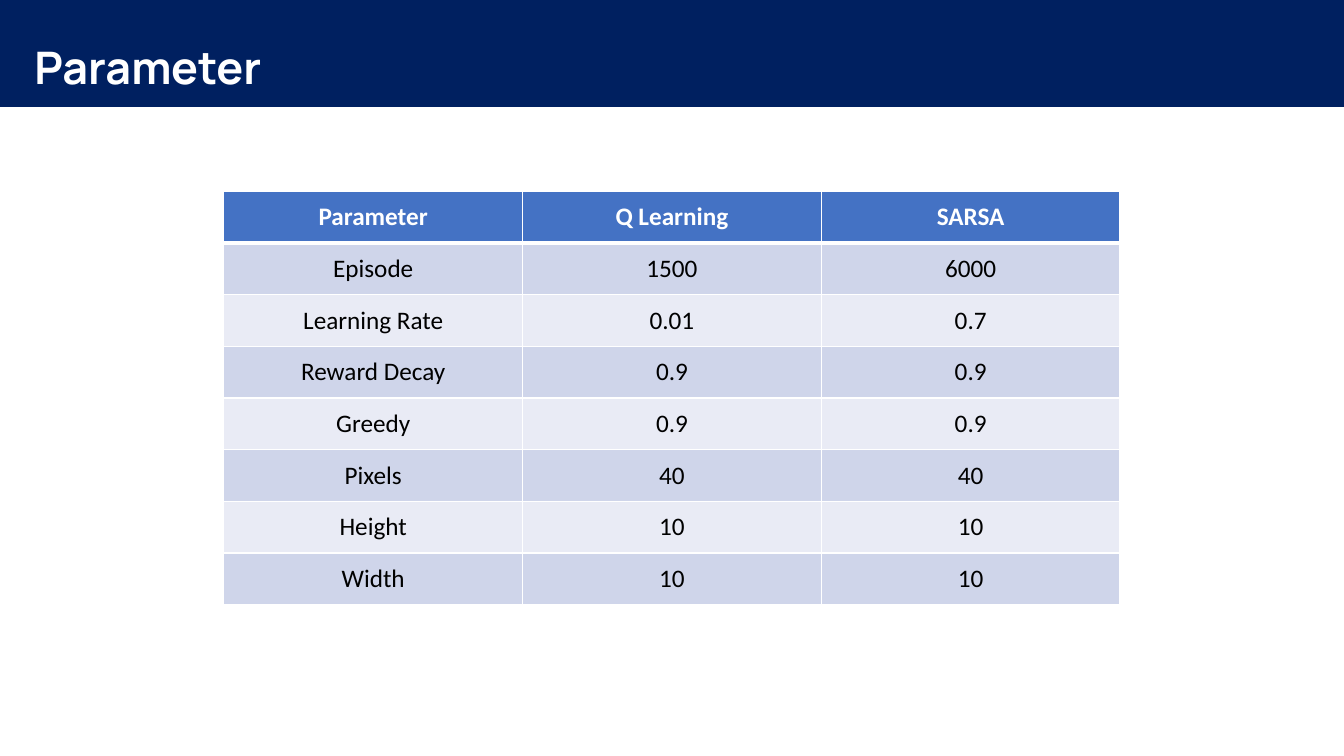
import pptx
import pptx.dml.color
import pptx.enum.shapes
import pptx.enum.text
import pptx.oxml
import pptx.oxml.ns
import pptx.util

Inches = pptx.util.Inches
Pt = pptx.util.Pt
RGBColor = pptx.dml.color.RGBColor
PP_ALIGN = pptx.enum.text.PP_ALIGN
MSO_ANCHOR = pptx.enum.text.MSO_ANCHOR

NAVY = RGBColor(0x00, 0x20, 0x60)
BLUE = RGBColor(0x44, 0x72, 0xC4)
BAND_DARK = RGBColor(0xCF, 0xD5, 0xEA)
BAND_LIGHT = RGBColor(0xE9, 0xEB, 0xF5)
WHITE = RGBColor(0xFF, 0xFF, 0xFF)
BLACK = RGBColor(0x00, 0x00, 0x00)

PARAMETERS = [
    ("Parameter", "Q Learning", "SARSA"),
    ("Episode", "1500", "6000"),
    ("Learning Rate", "0.01", "0.7"),
    ("Reward Decay", "0.9", "0.9"),
    ("Greedy", "0.9", "0.9"),
    ("Pixels", "40", "40"),
    ("Height", "10", "10"),
    ("Width", "10", "10"),
]


def format_font(font, color, **values):
    """Set the colour and the given attributes of a font."""
    font.color.rgb = color
    for attribute, value in values.items():
        setattr(font, attribute, value)


def add_borders(cell, widths):
    """Draw white cell borders; widths maps a side tag to points."""
    properties = cell._tc.get_or_add_tcPr()
    for side, width in widths.items():
        properties.append(pptx.oxml.parse_xml(
            f'<a:{side} {pptx.oxml.ns.nsdecls("a")} w="{Pt(width)}">'
            f'<a:solidFill><a:srgbClr val="{WHITE}"/></a:solidFill></a:{side}>'))


deck = pptx.Presentation()
deck.slide_width, deck.slide_height = Inches(13.33), Inches(7.5)
slide = deck.slides.add_slide(deck.slide_layouts[5])

# Header band, placed behind the title
header = slide.shapes.add_shape(
    pptx.enum.shapes.MSO_SHAPE.RECTANGLE, 0, 0, deck.slide_width, Inches(1.06))
header.shadow.inherit = False
header.fill.solid()
header.fill.fore_color.rgb = NAVY
header.line.fill.background()
slide.shapes._spTree.insert(2, header._element)

title = slide.shapes.title
title.left, title.top = Inches(0.24), Inches(0.08)
title.width, title.height = Inches(10.07), Inches(0.83)
title.text_frame.text = "Parameter"
title_format = {
    "word_wrap": True,
    "vertical_anchor": MSO_ANCHOR.TOP,
    "auto_size": pptx.enum.text.MSO_AUTO_SIZE.SHAPE_TO_FIT_TEXT,
}
for attribute, value in title_format.items():
    setattr(title.text_frame, attribute, value)
heading = title.text_frame.paragraphs[0]
heading.alignment = PP_ALIGN.JUSTIFY
heading.line_spacing = 1.5
format_font(heading.runs[0].font, WHITE, name="Manrope", size=Pt(32), bold=True)

# Parameter table
table = slide.shapes.add_table(
    len(PARAMETERS), len(PARAMETERS[0]),
    Inches(2.22), Inches(1.9), Inches(8.89), Inches(4.1)).table

for row, values in enumerate(PARAMETERS):
    is_header = row == 0
    fill = BLUE if is_header else BAND_DARK if row % 2 else BAND_LIGHT
    widths = {"lnL": 1, "lnR": 1, "lnT": 3 if row == 1 else 1,
              "lnB": 3 if is_header else 1}
    for column, value in enumerate(values):
        cell = table.cell(row, column)
        cell.text = value
        cell.vertical_anchor = MSO_ANCHOR.MIDDLE
        add_borders(cell, widths)
        cell.fill.solid()
        cell.fill.fore_color.rgb = fill
        paragraph = cell.text_frame.paragraphs[0]
        paragraph.alignment = PP_ALIGN.CENTER
        format_font(paragraph.runs[0].font, WHITE if is_header else BLACK,
                    name="Calibri", size=Pt(18), bold=is_header)

deck.save("out.pptx")
